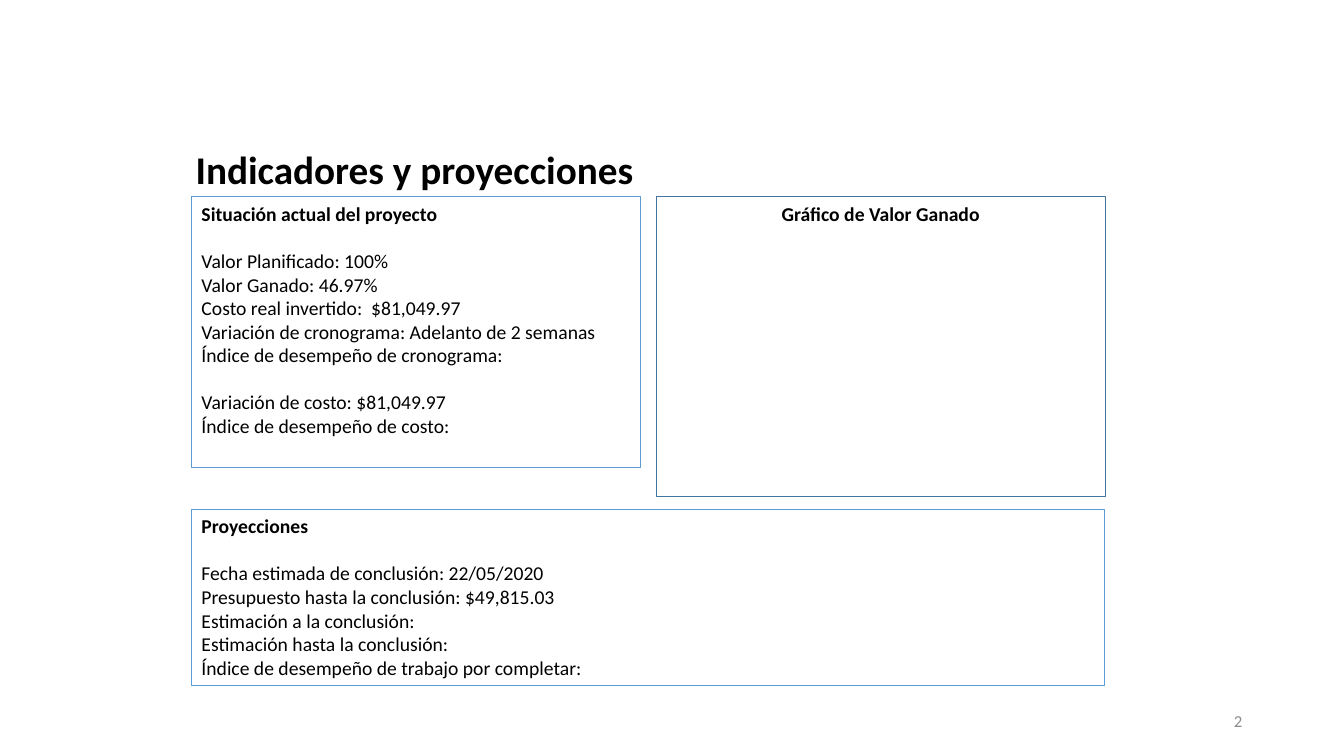
from pptx import Presentation
from pptx.dml.color import RGBColor
from pptx.enum.shapes import MSO_SHAPE as Preset
from pptx.enum.text import MSO_ANCHOR as Anchor, MSO_AUTO_SIZE as AutoSize, PP_ALIGN as Align
from pptx.util import Inches, Pt

THEME = {
    "font": "Calibri",
    "text": RGBColor.from_string("000000"),
    "muted": RGBColor.from_string("8C8C8C"),
    "panel_line": RGBColor.from_string("5B9BD5"),
    "chart_line": RGBColor.from_string("43739E"),
    "title_size": Pt(28),
    "body_size": Pt(14),
    "number_size": Pt(12),
    "group_gap": Pt(17),
}


def write(paragraph, text, size, color=THEME["text"], bold=False, align=Align.LEFT):
    paragraph.text = text
    paragraph.alignment = align
    font = paragraph.runs[0].font
    for name, value in {"name": THEME["font"], "size": size, "bold": bold}.items():
        setattr(font, name, value)
    font.color.rgb = color


def format_frame(frame, anchor):
    settings = {"word_wrap": True, "auto_size": AutoSize.NONE, "vertical_anchor": anchor}
    for name, value in settings.items():
        setattr(frame, name, value)


presentation = Presentation()
presentation.slide_width, presentation.slide_height = Inches(13.33), Inches(7.5)
slide = presentation.slides.add_slide(presentation.slide_layouts[5])

# Title
title = slide.shapes.title
title_place = {"left": 1.84, "top": 1.48, "width": 8.5, "height": 0.39}
for name, value in title_place.items():
    setattr(title, name, Inches(value))
format_frame(title.text_frame, Anchor.MIDDLE)
write(title.text_frame.paragraphs[0], "Indicadores y proyecciones", THEME["title_size"], bold=True)

# Slide number
number = slide.shapes.add_textbox(Inches(9.42), Inches(6.95), Inches(3), Inches(0.4))
format_frame(number.text_frame, Anchor.MIDDLE)
write(number.text_frame.paragraphs[0], "2", THEME["number_size"], THEME["muted"], align=Align.RIGHT)

# Panels: place, line colour, line width, heading alignment, heading, groups of lines
LEFT, TOP, COLUMN, GAP = 1.9, 1.95, 4.45, 0.16
panels = [
    ((LEFT, TOP, COLUMN, 2.69), "panel_line", 0.75, Align.LEFT, "Situación actual del proyecto", [
        ["Valor Planificado: 100%",
         "Valor Ganado: 46.97%",
         "Costo real invertido:  $81,049.97",
         "Variación de cronograma: Adelanto de 2 semanas",
         "Índice de desempeño de cronograma:"],
        ["Variación de costo: $81,049.97",
         "Índice de desempeño de costo:"],
    ]),
    ((LEFT, 5.05, 2 * COLUMN + GAP, 1.75), "panel_line", 0.75, Align.LEFT, "Proyecciones", [
        ["Fecha estimada de conclusión: 22/05/2020",
         "Presupuesto hasta la conclusión: $49,815.03",
         "Estimación a la conclusión:",
         "Estimación hasta la conclusión:",
         "Índice de desempeño de trabajo por completar:"],
    ]),
    ((LEFT + COLUMN + GAP, TOP, COLUMN, 2.97), "chart_line", 0.25, Align.CENTER,
     "Gráfico de Valor Ganado", []),
]
for place, line_color, line_width, align, heading, groups in panels:
    panel = slide.shapes.add_shape(Preset.RECTANGLE, *map(Inches, place))
    panel.shadow.inherit = False
    panel.fill.background()
    panel.line.color.rgb = THEME[line_color]
    panel.line.width = Pt(line_width)
    frame = panel.text_frame
    format_frame(frame, Anchor.TOP)
    write(frame.paragraphs[0], heading, THEME["body_size"], bold=True, align=align)
    for group in groups:
        for index, text in enumerate(group):
            paragraph = frame.add_paragraph()
            write(paragraph, text, THEME["body_size"])
            if index == 0:
                paragraph.space_before = THEME["group_gap"]

presentation.save("out.pptx")
